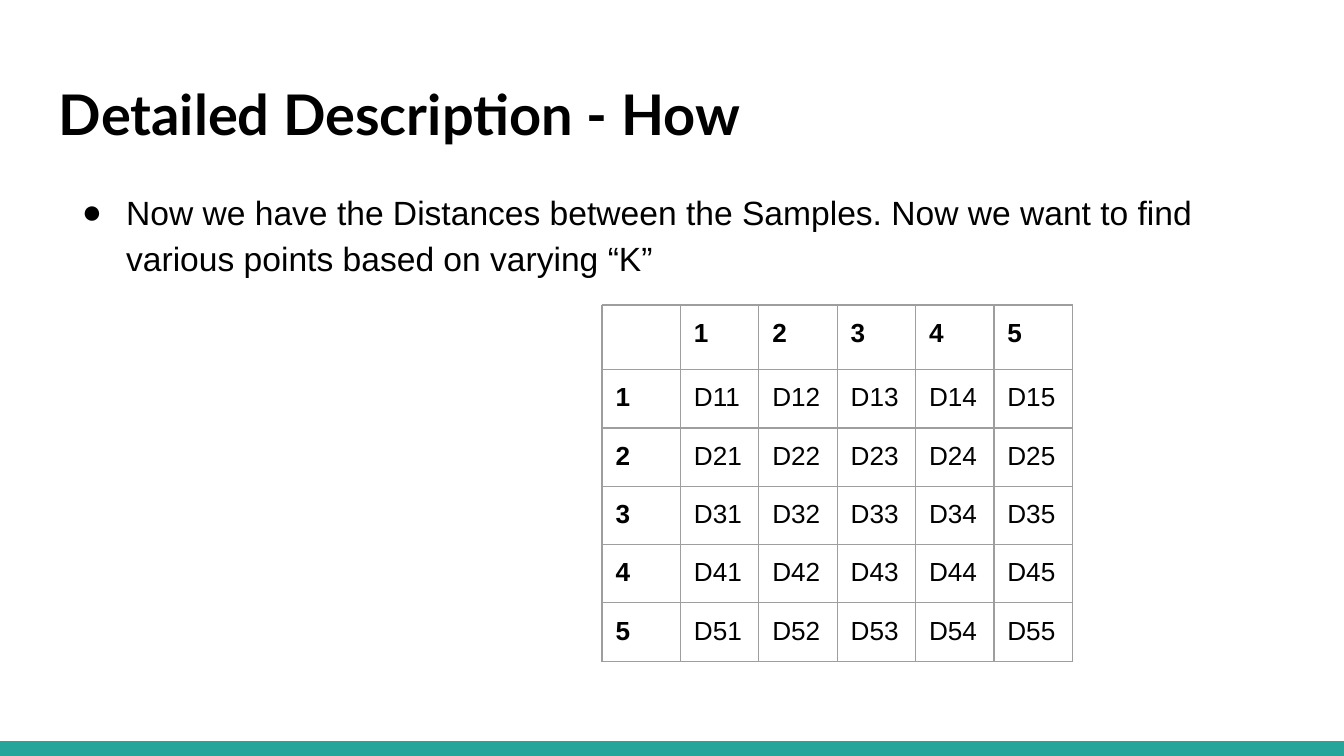
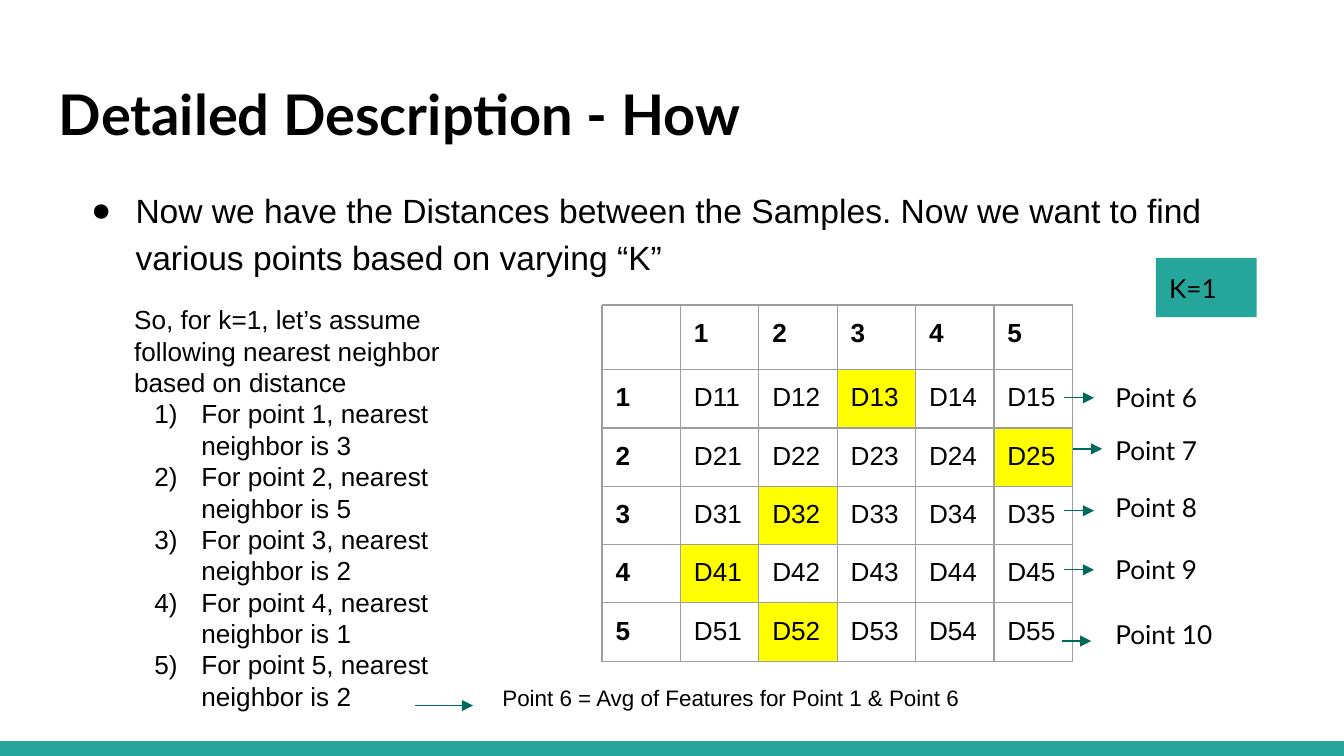
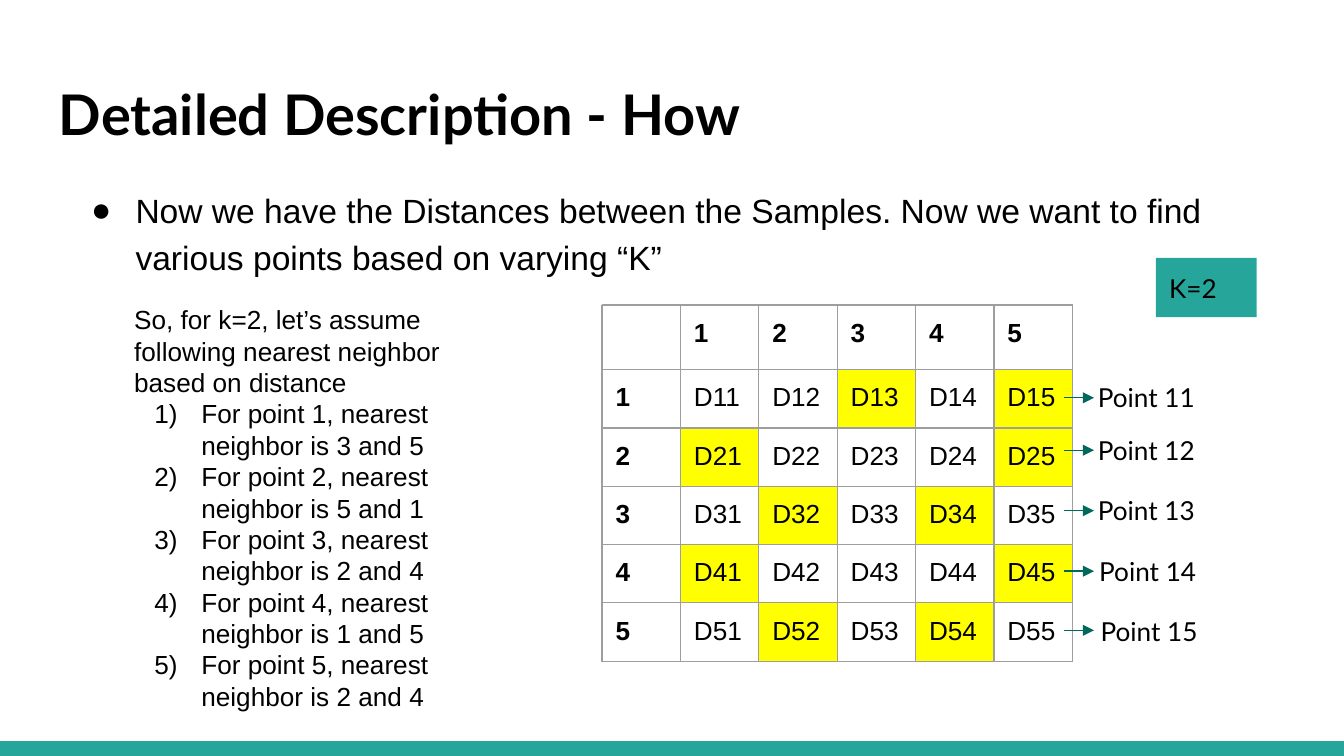
from lxml import etree
from pptx import Presentation
from pptx.dml.color import RGBColor
from pptx.enum.shapes import MSO_CONNECTOR, MSO_SHAPE
from pptx.enum.text import MSO_ANCHOR
from pptx.oxml.ns import qn
from pptx.util import Inches, Pt

# Content
TITLE = "Detailed Description - How"
STATEMENT = ("Now we have the Distances between the Samples. "
             "Now we want to find various points based on varying “K”")
SIZE = 5  # samples in the distance table

# neighbors: nearest points of each sample; points: (label left, label top, arrow left, arrow y)
SLIDES = [
    dict(statement_at=(0.34, 1.28)),
    dict(statement_at=(0.41, 1.27), k=1, neighbors=[[3], [5], [2], [1], [2]],
         first_point=6,
         points=[(8.2, 2.74, 7.92, 2.96), (8.2, 3.13, 7.98, 3.34), (8.2, 3.56, 7.92, 3.8),
                 (8.2, 4.02, 7.92, 4.24), (8.2, 4.5, 7.9, 4.77)],
         note="Point 6 = Avg of Features for Point 1 & Point 6"),
    dict(statement_at=(0.41, 1.27), k=2,
         neighbors=[[3, 5], [5, 1], [2, 4], [1, 5], [2, 4]],
         first_point=11,
         points=[(8.07, 2.74, 7.92, 2.96), (8.07, 3.13, 7.92, 3.35), (8.07, 3.58, 7.92, 3.8),
                 (8.08, 4.03, 7.92, 4.25), (8.09, 4.48, 7.92, 4.69)]),
]

# Shared look
WIDTH, HEIGHT = 10, 5.625
BLACK = RGBColor(0x00, 0x00, 0x00)
TEAL = RGBColor(0x26, 0xA6, 0x9A)
DARK_TEAL = RGBColor(0x00, 0x69, 0x5C)
YELLOW = RGBColor(0xFF, 0xFF, 0x00)
GRAY = RGBColor(0x9E, 0x9E, 0x9E)
HEADING_FONT, BODY_FONT = "Lato", "Arial"
INSET = Inches(0.1)
BAND_HEIGHT = 0.11
TABLE_LEFT, TABLE_TOP, TABLE_WIDTH = 4.48, 2.27, 3.5
HEADER_HEIGHT, ROW_HEIGHT = 0.48, 0.42
ARROW_LENGTH = 0.22


def set_font(paragraph, size, name, bold=False):
    font = paragraph.font
    font.size, font.name, font.bold = Pt(size), name, bold
    font.color.rgb = BLACK


def set_insets(frame):
    frame.margin_left = frame.margin_right = INSET
    frame.margin_top = frame.margin_bottom = INSET


def add_text(slide, box, lines, size, name, bold=False):
    frame = slide.shapes.add_textbox(*map(Inches, box)).text_frame
    frame.word_wrap = True
    set_insets(frame)
    frame.text = "\n".join(lines)
    for paragraph in frame.paragraphs:
        set_font(paragraph, size, name, bold)
    return frame.paragraphs


def add_bullet(paragraph, hanging, tag, **attributes):
    """Hang the paragraph on a bullet, placed before its font settings."""
    properties = paragraph._p.get_or_add_pPr()
    properties.set("marL", str(Inches(0.5)))
    properties.set("indent", str(-Inches(hanging)))
    color = etree.Element(qn("a:buClr"))
    etree.SubElement(color, qn("a:srgbClr"), val=str(BLACK))
    font = etree.Element(qn("a:buFont"), typeface=BODY_FONT)
    defaults = properties.find(qn("a:defRPr"))
    for element in (color, font, etree.Element(qn(tag), **attributes)):
        defaults.addprevious(element)


def add_box(slide, box):
    shape = slide.shapes.add_shape(MSO_SHAPE.RECTANGLE, *map(Inches, box))
    shape.shadow.inherit = False
    shape.fill.solid()
    shape.fill.fore_color.rgb = TEAL
    shape.line.fill.background()
    return shape


def add_arrow(slide, left, y, length=ARROW_LENGTH):
    arrow = slide.shapes.add_connector(
        MSO_CONNECTOR.STRAIGHT, *map(Inches, (left, y, left + length, y)))
    arrow.line.color.rgb = DARK_TEAL
    arrow.line.width = Pt(0.75)
    etree.SubElement(arrow.line._get_or_add_ln(), qn("a:tailEnd"), type="triangle")
    etree.SubElement(arrow._element.spPr, qn("a:effectLst"))


def add_borders(cell):
    properties = cell._tc.get_or_add_tcPr()
    for position, side in enumerate(("lnL", "lnR", "lnT", "lnB")):
        line = etree.Element(qn("a:" + side), w=str(Pt(0.75)))
        fill = etree.SubElement(line, qn("a:solidFill"))
        etree.SubElement(fill, qn("a:srgbClr"), val=str(GRAY))
        properties.insert(position, line)


def add_distance_table(slide, neighbors):
    count = SIZE + 1
    table = slide.shapes.add_table(
        count, count, Inches(TABLE_LEFT), Inches(TABLE_TOP), Inches(TABLE_WIDTH),
        Inches(HEADER_HEIGHT + SIZE * ROW_HEIGHT)).table
    table.first_row = table.horz_banding = False
    for column in table.columns:
        column.width = Inches(TABLE_WIDTH / count)
    for i, row in enumerate(table.rows):
        row.height = Inches(ROW_HEIGHT if i else HEADER_HEIGHT)
        for j, cell in enumerate(row.cells):
            set_insets(cell)
            inner = i > 0 and j > 0
            cell.text = f"D{i}{j}" if inner else str(i or j or "")
            set_font(cell.text_frame.paragraphs[0], 14, BODY_FONT, bold=not inner)
            if inner and neighbors and j in neighbors[i - 1]:
                cell.fill.solid()
                cell.fill.fore_color.rgb = YELLOW
            else:
                cell.fill.background()
            add_borders(cell)


def add_base(slide, content):
    add_box(slide, (0, HEIGHT - BAND_HEIGHT, WIDTH, BAND_HEIGHT))
    add_text(slide, (0.34, 0.49, 9.32, 0.67), [TITLE], 30, HEADING_FONT, bold=True)
    statement = add_text(slide, (*content["statement_at"], 9.32, 3.72),
                         [STATEMENT], 18, BODY_FONT)[0]
    statement.line_spacing = 1.15
    add_bullet(statement, 0.33, "a:buChar", char="●")
    add_distance_table(slide, content.get("neighbors"))


def add_neighbor_search(slide, content):
    k = content["k"]
    # K badge
    badge = add_box(slide, (8.6, 1.92, 0.75, 0.44)).text_frame
    set_insets(badge)
    badge.vertical_anchor = MSO_ANCHOR.MIDDLE
    badge.text = f"K={k}"
    badge.paragraphs[0].alignment = 1
    set_font(badge.paragraphs[0], 14, HEADING_FONT)

    # Assumed neighbors
    lines = [f"So, for k={k}, let’s assume following nearest neighbor based on distance"]
    for number, nearest in enumerate(content["neighbors"], start=1):
        lines.append(f"For point {number}, nearest neighbor is {' and '.join(map(str, nearest))}")
    for paragraph in add_text(slide, (0.9, 2.16, 2.56, 3.27), lines, 14, BODY_FONT)[1:]:
        add_bullet(paragraph, 0.35, "a:buAutoNum", type="arabicParenR")

    # New point of each row
    for number, (left, top, arrow_left, y) in enumerate(content["points"], content["first_point"]):
        add_text(slide, (left, top, 0.99, 0.44), [f"Point {number}"], 14, HEADING_FONT)
        add_arrow(slide, arrow_left, y)

    if "note" in content:
        add_text(slide, (3.64, 4.99, 3.9, 0.4), [content["note"]], 12, BODY_FONT)
        add_arrow(slide, 3.09, 5.25, 0.43)


def main():
    presentation = Presentation()
    presentation.slide_width, presentation.slide_height = Inches(WIDTH), Inches(HEIGHT)
    for content in SLIDES:
        slide = presentation.slides.add_slide(presentation.slide_layouts[6])
        add_base(slide, content)
        if "k" in content:
            add_neighbor_search(slide, content)
    presentation.save("out.pptx")


if __name__ == "__main__":
    main()
